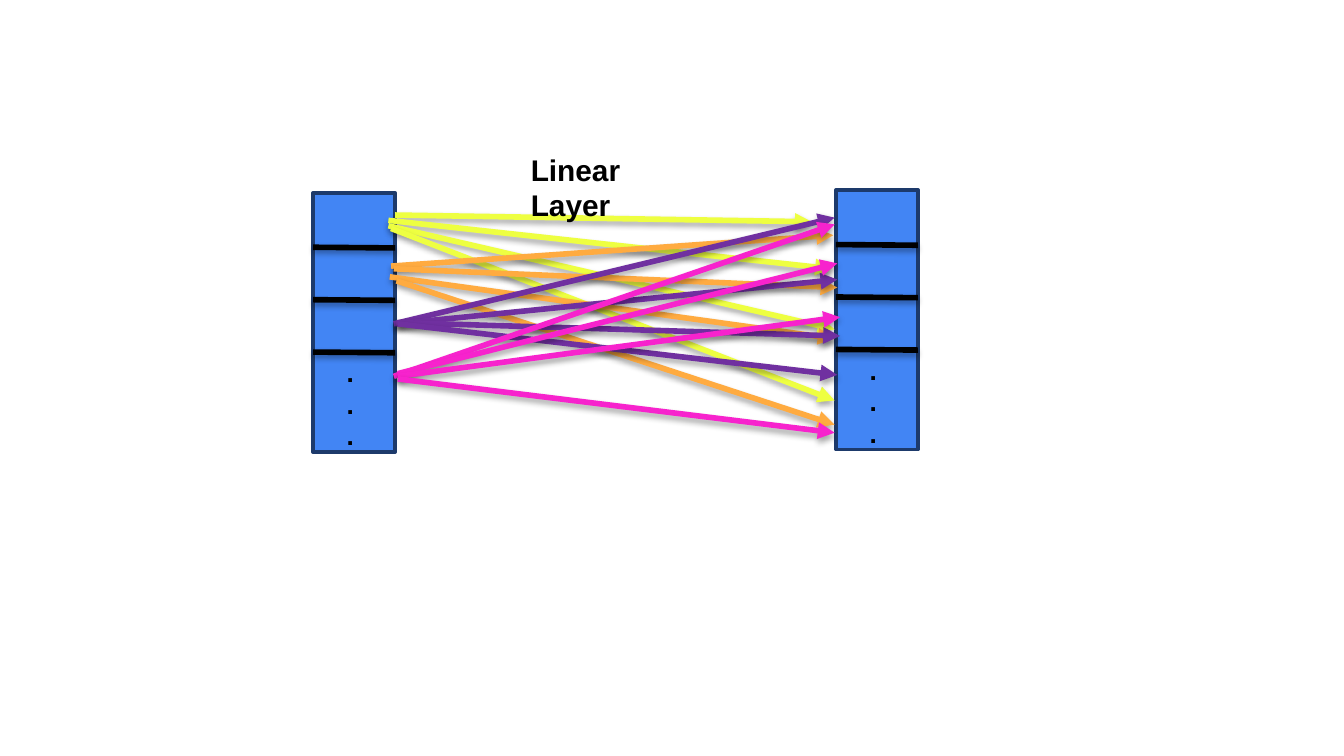
from lxml.etree import SubElement
from pptx import Presentation
from pptx.dml.color import RGBColor
from pptx.enum.shapes import MSO_CONNECTOR, MSO_SHAPE
from pptx.enum.text import MSO_AUTO_SIZE
from pptx.oxml.ns import qn
from pptx.util import Inches, Pt

HUES = {
    "box": "4285F4", "edge": "1D3A6B", "ink": "000000",
    "lime": "EEFF41", "gold": "FFAB40", "plum": "7030A0", "pink": "F723CD",
}
WIDE, TALL = 6.1, 19.3
STACKS = [(23.3, 14.35), (62.2, 14.15)]
RAYS = {
    "lime": [(29.4, 16, 60.4, 16.5), (28.9, 16.4, 61.9, 20),
             (28.9, 16.8, 62.1, 24.5), (29.1, 17, 62.1, 29.8)],
    "gold": [(29.1, 19.8, 62, 17.5), (29.3, 20, 62.3, 21.4),
             (29, 20.6, 62.1, 25.2), (29.5, 20.9, 62.1, 31.6)],
    "plum": [(29.3, 24.1, 62.1, 16.2), (29.5, 24.1, 62.3, 20.8),
             (29.5, 24, 62.5, 25), (29.6, 24.1, 62.3, 27.9)],
    "pink": [(29.3, 28, 62.1, 16.7), (29.6, 27.8, 62.3, 19.6),
             (29.6, 28, 62.5, 23.6), (29.6, 28.2, 62.1, 32.2)],
}


class Sketch:
    """Draws on one slide, in cells of a grid 100 columns wide."""

    def __init__(self, slide, cell, font="Arial"):
        self.slide, self.cell, self.font = slide, cell, font

    def span(self, *sizes):
        return [round(size * self.cell) for size in sizes]

    def hue(self, name):
        return RGBColor.from_string(HUES[name])

    def box(self, x, y, w, h):
        shape = self.slide.shapes.add_shape(MSO_SHAPE.RECTANGLE, *self.span(x, y, w, h))
        shape.shadow.inherit = False
        shape.fill.solid()
        shape.fill.fore_color.rgb = self.hue("box")
        shape.line.color.rgb = self.hue("edge")
        shape.line.width = Pt(2)

    def line(self, x1, y1, x2, y2, hue, arrow=False):
        link = self.slide.shapes.add_connector(
            MSO_CONNECTOR.STRAIGHT, *self.span(x1, y1, x2, y2))
        link.line.color.rgb = self.hue(hue)
        link.line.width = Pt(3)
        props = link._element.spPr
        if arrow:
            SubElement(props.find(qn("a:ln")), qn("a:tailEnd"), type="triangle")
        self.shade(props)

    def shade(self, props):
        glow = SubElement(SubElement(props, qn("a:effectLst")), qn("a:outerShdw"),
                          blurRad="40000", dist="23000", dir="5400000", rotWithShape="0")
        tint = SubElement(glow, qn("a:srgbClr"), val=HUES["ink"])
        SubElement(tint, qn("a:alpha"), val="35000")

    def text(self, x, y, w, h, rows, size):
        frame = self.slide.shapes.add_textbox(*self.span(x, y, w, h)).text_frame
        frame.word_wrap = True
        frame.auto_size = MSO_AUTO_SIZE.SHAPE_TO_FIT_TEXT
        frame.margin_left = frame.margin_right = Inches(0.05)
        frame.margin_top = frame.margin_bottom = Inches(0.03)
        for i, row in enumerate(rows):
            para = frame.add_paragraph() if i else frame.paragraphs[0]
            para.line_spacing = Pt(1.2 * size)
            run = para.add_run()
            run.text = row
            run.font.name, run.font.size, run.font.bold = self.font, Pt(size), True
            run.font.color.rgb = self.hue("ink")

    def stack(self, x, y):
        self.box(x, y, WIDE, TALL)
        for i in range(3):
            cut = y + 4.05 + 3.9 * i
            self.line(x, cut, x + WIDE, cut + 0.05, "ink")
        self.text(x + 2, y + 11.9, 3.6, 7.6, ["."] * 3, 14)


def main():
    deck = Presentation()
    deck.slide_width, deck.slide_height = Inches(10), Inches(10 * 9 / 16)
    slide = deck.slides.add_slide(deck.slide_layouts[6])
    art = Sketch(slide, deck.slide_width / 100)
    for x, y in STACKS:
        art.stack(x, y)
    for hue, rays in RAYS.items():
        for ray in rays:
            art.line(*ray, hue, arrow=True)
    art.text(39, 10.95, 12.6, 5.9, ["Linear Layer"], 16)
    deck.save("out.pptx")


if __name__ == "__main__":
    main()
